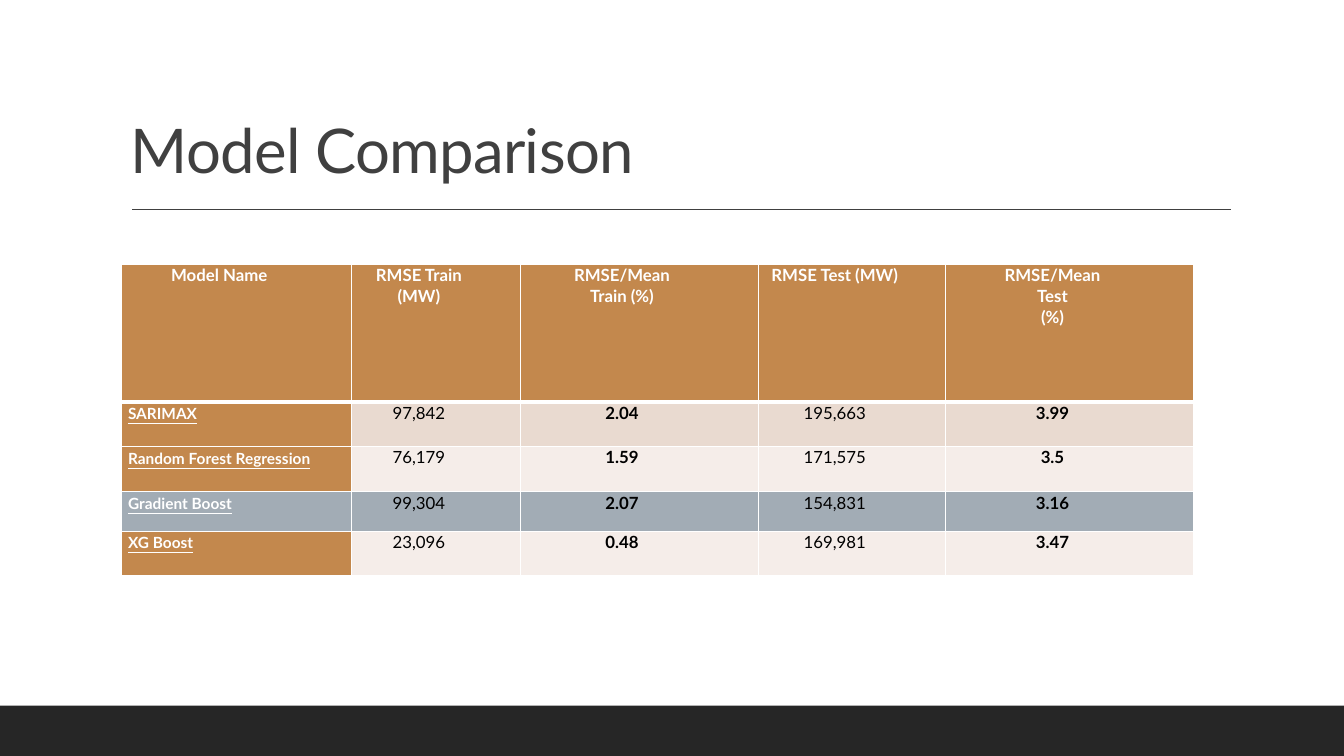
import pptx
import pptx.dml.color
import pptx.enum.shapes
import pptx.enum.text
import pptx.oxml
import pptx.oxml.ns
import pptx.util
from dataclasses import dataclass

Inches = pptx.util.Inches
Pt = pptx.util.Pt
ALIGN = pptx.enum.text.PP_ALIGN


@dataclass(frozen=True)
class Theme:
    font: str = "Lato"
    title_size: int = 44
    table_size: int = 12
    name_size: int = 11
    white: str = "FFFFFF"
    black: str = "000000"
    ink: str = "404040"
    footer: str = "262626"
    accent: str = "C3884D"
    band_dark: str = "E9DAD0"
    band_light: str = "F5EDE9"
    highlight: str = "A2ACB5"


theme = Theme()


def rgb(value):
    return pptx.dml.color.RGBColor.from_string(value)


def write_text(frame, text, size, color, bold=False, underline=False,
               align=ALIGN.LEFT, line_spacing=Pt(15), tracking=None):
    for index, line in enumerate(text.split("\n")):
        para = frame.paragraphs[0] if index == 0 else frame.add_paragraph()
        para.alignment = align
        para.line_spacing = line_spacing
        span = para.add_run()
        span.text = line
        span.font.name = theme.font
        span.font.size = Pt(size)
        span.font.bold = bold
        span.font.underline = underline
        span.font.color.rgb = rgb(color)
        if tracking is not None:
            span.font._element.set("spc", str(int(tracking * 100)))


deck = pptx.Presentation()
deck.slide_width = Inches(13.33)
deck.slide_height = Inches(7.5)
page = deck.slides.add_slide(deck.slide_layouts[6])

# Footer band
footer = page.shapes.add_shape(pptx.enum.shapes.MSO_SHAPE.RECTANGLE,
                               0, Inches(7), Inches(13.33), Inches(0.5))
footer.shadow.inherit = False
footer.fill.solid()
footer.fill.fore_color.rgb = rgb(theme.footer)
footer.line.fill.background()

# Rule under the title
rule = page.shapes.add_connector(pptx.enum.shapes.MSO_CONNECTOR.STRAIGHT,
                                 Inches(1.31), Inches(2.08), Inches(12.21), Inches(2.08))
rule.line.color.rgb = rgb(theme.ink)
rule.line.width = Pt(1)
rule._element.spPr.append(pptx.oxml.parse_xml(
    f"<a:effectLst {pptx.oxml.ns.nsdecls('a')}/>"))

# Title
title = page.shapes.add_textbox(Inches(1.2), Inches(0.31), Inches(11), Inches(1.59))
title.text_frame.word_wrap = True
title.text_frame.vertical_anchor = pptx.enum.text.MSO_ANCHOR.BOTTOM
write_text(title.text_frame, "Model Comparison", size=theme.title_size,
           color=theme.ink, line_spacing=0.9, tracking=-0.5)

# Table data; each body row carries its name fill and value fill
header = ["Model Name", "RMSE Train (MW)", "RMSE/Mean\nTrain (%)",
          "RMSE Test (MW)", "RMSE/Mean\nTest\n(%)"]
models = [
    (["SARIMAX", "97,842", "2.04", "195,663", "3.99"], theme.accent, theme.band_dark),
    (["Random Forest Regression", "76,179", "1.59", "171,575", "3.5"],
     theme.accent, theme.band_light),
    (["Gradient Boost", "99,304", "2.07", "154,831", "3.16"],
     theme.highlight, theme.highlight),
    (["XG Boost", "23,096", "0.48", "169,981", "3.47"], theme.accent, theme.band_light),
]
rows = [(header, theme.accent, theme.accent)] + models
widths = [2.29, 1.67, 2.36, 1.86, 2.46]
heights = [1.37, 0.44, 0.45, 0.39, 0.44]

# Table grid
table = page.shapes.add_table(len(rows), len(widths), Inches(1.2), Inches(2.62),
                              Inches(sum(widths)), Inches(sum(heights))).table
table.first_row = False
table.horz_banding = False
for column, width in zip(table.columns, widths):
    column.width = Inches(width)
for row, height in zip(table.rows, heights):
    row.height = Inches(height)

# Table cells
for row_index, (texts, name_fill, value_fill) in enumerate(rows):
    for column_index, text in enumerate(texts):
        cell = table.cell(row_index, column_index)
        cell.margin_left = Inches(0.07)
        cell.margin_right = Inches(0.41)
        cell.margin_top = cell.margin_bottom = 0
        cell.fill.solid()
        cell.fill.fore_color.rgb = rgb(value_fill if column_index else name_fill)

        is_header = row_index == 0
        is_name = column_index == 0 and not is_header
        write_text(cell.text_frame, text,
                   size=theme.name_size if is_name else theme.table_size,
                   color=theme.white if is_header or is_name else theme.black,
                   bold=is_header or column_index % 2 == 0,
                   underline=is_name,
                   align=ALIGN.LEFT if is_name else ALIGN.CENTER)

        # White borders, thicker between header and body
        border_points = {"lnL": 1, "lnR": 1,
                         "lnT": 3 if row_index == 1 else 1,
                         "lnB": 3 if is_header else 1}
        properties = cell._tc.get_or_add_tcPr()
        for position, (side, points) in enumerate(border_points.items()):
            properties.insert(position, pptx.oxml.parse_xml(
                f'<a:{side} {pptx.oxml.ns.nsdecls("a")} w="{Pt(points)}"><a:solidFill>'
                f'<a:srgbClr val="{theme.white}"/></a:solidFill></a:{side}>'))

deck.save("out.pptx")
